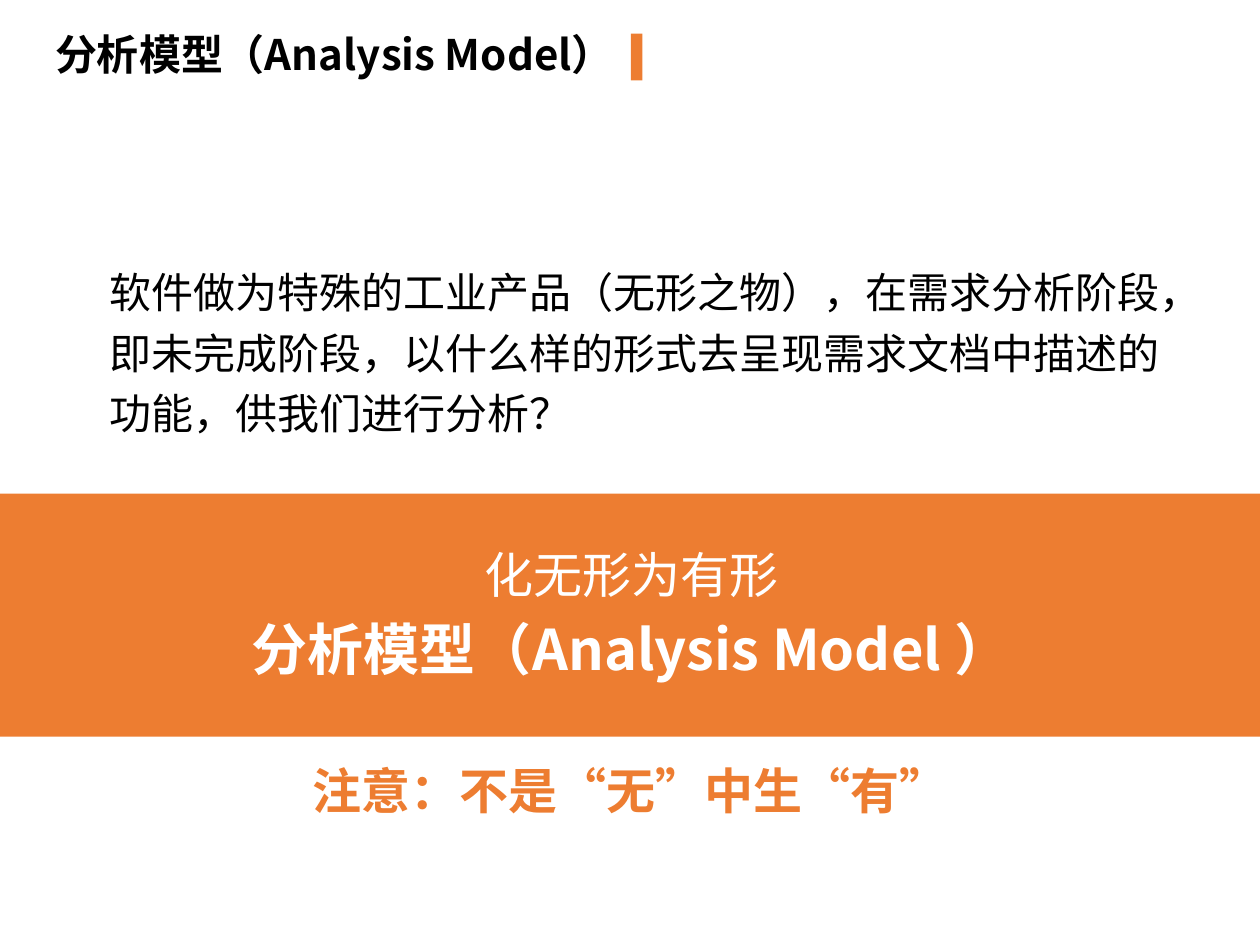
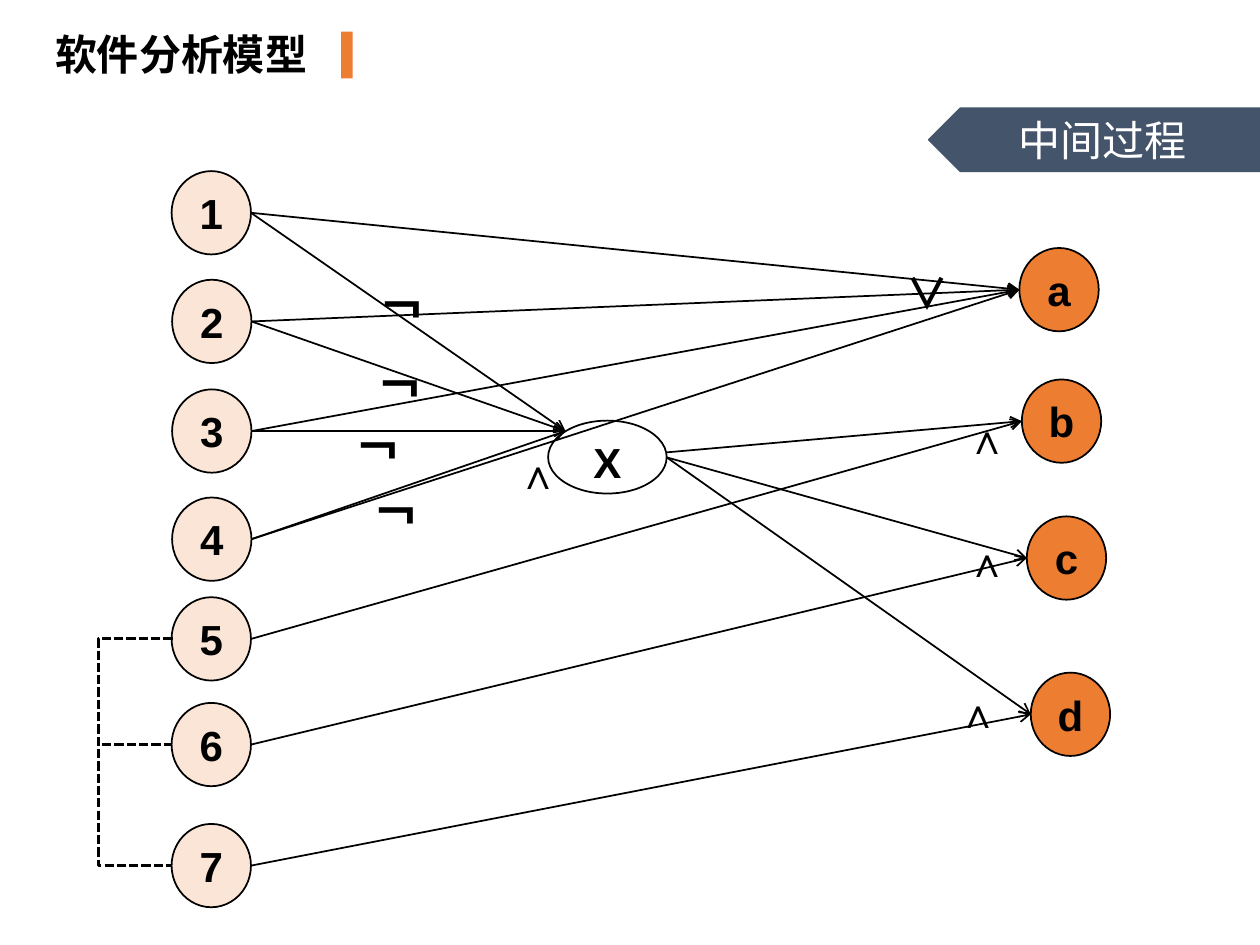
from lxml import etree
from pptx import Presentation
from pptx.dml.color import RGBColor
from pptx.enum.dml import MSO_LINE
from pptx.enum.shapes import MSO_CONNECTOR, MSO_SHAPE
from pptx.enum.text import MSO_ANCHOR, PP_ALIGN
from pptx.oxml.ns import qn
from pptx.util import Cm, Pt

# Shared look
ORANGE = RGBColor(0xED, 0x7D, 0x31)
PEACH = RGBColor(0xFB, 0xE5, 0xD6)
SLATE = RGBColor(0x44, 0x54, 0x6A)
WHITE = RGBColor(0xFF, 0xFF, 0xFF)
BLACK = RGBColor(0, 0, 0)
CJK = "Noto Sans CJK SC"
LATIN = "Arial"

# Cause-effect graph, in cm
NODE_W, NODE_H = 1.6, 1.68
CAUSES = {"1": (3.46, 3.45), "2": (3.47, 5.64), "3": (3.47, 7.85),
          "4": (3.47, 10.03), "5": (3.46, 12.04), "6": (3.46, 14.17),
          "7": (3.46, 16.61)}
EFFECTS = {"a": (20.55, 5.0), "b": (20.6, 7.65),
           "c": (20.7, 10.41), "d": (20.78, 13.56)}
X_BOX = (11.05, 8.48, 2.39, 1.47)
X_ENTRY = (11.4, 8.69)
X_EXITS = {"b": (13.44, 9.12), "c": (13.44, 9.22), "d": (13.44, 9.22)}
CAUSE_EFFECT = ["5b", "1a", "2a", "3a", "4a", "6c", "7d"]
NOT_MARKS = [(7.24, 5.21), (7.19, 6.81), (6.76, 8.05), (7.11, 9.37)]
AND_MARKS = [(10.19, 8.89), (19.23, 8.2), (19.23, 10.67), (19.05, 13.72)]
OR_MARK = (18.03, 5.26)
BRACKET_X = 1.98


def style_runs(p, size, color, bold=False, font=CJK):
    for r in p.runs:
        r.font.size = Pt(size)
        r.font.bold = bold
        r.font.color.rgb = color
        r.font.name = font
        ea = etree.SubElement(r.font._element, qn("a:ea"))
        ea.set("typeface", font)


def add_text(s, box, text, size, color=BLACK, bold=False, font=CJK,
             align=PP_ALIGN.LEFT, wrap=True):
    tf = s.shapes.add_textbox(*map(Cm, box)).text_frame
    tf.word_wrap = wrap
    p = tf.paragraphs[0]
    p.text = text
    p.alignment = align
    style_runs(p, size, color, bold, font)
    return tf


def add_block(s, kind, box, fill, line=None, width=1):
    sp = s.shapes.add_shape(kind, *map(Cm, box))
    sp.shadow.inherit = False
    sp.fill.solid()
    sp.fill.fore_color.rgb = fill
    if line is None:
        sp.line.fill.background()
    else:
        sp.line.color.rgb = line
        sp.line.width = Pt(width)
    return sp


def label_shape(sp, text, size, color, bold=False, font=CJK):
    tf = sp.text_frame
    tf.vertical_anchor = MSO_ANCHOR.MIDDLE
    tf.text = text
    p = tf.paragraphs[0]
    p.alignment = PP_ALIGN.CENTER
    style_runs(p, size, color, bold, font)


def add_node(s, box, label, fill):
    sp = add_block(s, MSO_SHAPE.OVAL, box, fill, BLACK)
    tf = sp.text_frame
    tf.margin_left = tf.margin_right = tf.margin_top = tf.margin_bottom = 0
    label_shape(sp, label, 24, BLACK, True, LATIN)
    return sp


def add_line(s, start, end, kind=MSO_CONNECTOR.STRAIGHT, width=1):
    cxn = s.shapes.add_connector(kind, *map(Cm, (*start, *end)))
    cxn.line.color.rgb = BLACK
    cxn.line.width = Pt(width)
    etree.SubElement(cxn._element.spPr, qn("a:effectLst"))
    return cxn


def add_arrow(s, start, end):
    ln = add_line(s, start, end).line._get_or_add_ln()
    etree.SubElement(ln, qn("a:tailEnd")).set("type", "arrow")


def add_dashed(s, start, end, kind=MSO_CONNECTOR.STRAIGHT):
    cxn = add_line(s, start, end, kind, 1.75)
    ln = cxn.line
    ln.dash_style = MSO_LINE.SQUARE_DOT
    return cxn


def add_title(s, text, width, bar_left, bar_top):
    add_text(s, (0.86, 0.46, width, 1.27), text, 24, bold=True)
    add_block(s, MSO_SHAPE.RECTANGLE, (bar_left, bar_top, 0.23, 0.94), ORANGE)


def mid_left(pos):
    return pos[0], pos[1] + NODE_H / 2


def mid_right(pos):
    return pos[0] + NODE_W, pos[1] + NODE_H / 2


def build_model_slide(s):
    add_block(s, MSO_SHAPE.RECTANGLE, (0, 9.95, 25.4, 4.9), ORANGE)
    add_title(s, "分析模型（Analysis Model）", 13.16, 12.72, 0.68)

    # Question
    tf = add_text(s, (1.96, 5.05, 21.9, 3.78),
                  "软件做为特殊的工业产品（无形之物），在需求分析阶段，"
                  "即未完成阶段，以什么样的形式去呈现需求文档中描述的"
                  "功能，供我们进行分析？", 24)
    tf.paragraphs[0].line_spacing = 1.2

    # Answer on the band
    tf = add_text(s, (4.14, 10.85, 17.17, 3.1), "化无形为有形", 28, WHITE,
                  align=PP_ALIGN.CENTER)
    p = tf.add_paragraph()
    p.text = "分析模型（Analysis Model ）"
    p.alignment = PP_ALIGN.CENTER
    p.space_before = Pt(6.4)
    style_runs(p, 32, WHITE, True)

    # Remark
    add_text(s, (5.97, 15.21, 13.49, 1.45), "注意：不是“无”中生“有”", 28,
             ORANGE, True, align=PP_ALIGN.CENTER, wrap=False)


def build_graph_slide(s):
    add_title(s, "软件分析模型", 6.12, 6.88, 0.64)

    # Nodes
    for nodes, fill in ((CAUSES, PEACH), (EFFECTS, ORANGE)):
        for label, pos in nodes.items():
            add_node(s, (*pos, NODE_W, NODE_H), label, fill)
    x_node = add_node(s, X_BOX, "X", WHITE)
    x_node.text_frame.margin_top = Cm(0.2)

    # Arrows
    for cause in "1234":
        add_arrow(s, mid_right(CAUSES[cause]), X_ENTRY)
    for effect, start in X_EXITS.items():
        add_arrow(s, start, mid_left(EFFECTS[effect]))
    for cause, effect in CAUSE_EFFECT:
        add_arrow(s, mid_right(CAUSES[cause]), mid_left(EFFECTS[effect]))

    # Logic signs
    for pos in NOT_MARKS:
        add_text(s, (*pos, 0.99, 1.45), "﹁", 28, bold=True)
    for pos in AND_MARKS:
        add_text(s, (*pos, 1.19, 1.3), "∧", 24, bold=True, font=LATIN)
    add_text(s, (*OR_MARK, 1.19, 1.27), "∨", 24, bold=True)

    # Dashed bracket joining 5, 6 and 7
    top, middle, bottom = (mid_left(CAUSES[n]) for n in "567")
    start_x, end_x = 3.48, 3.45
    elbow = add_dashed(s, (start_x, top[1]), (end_x, bottom[1]),
                       MSO_CONNECTOR.ELBOW)
    bend = round((start_x - BRACKET_X) / (start_x - end_x) * 100000)
    guides = elbow._element.spPr.find(qn("a:prstGeom")).get_or_add_avLst()
    gd = etree.SubElement(guides, qn("a:gd"))
    gd.set("name", "adj1")
    gd.set("fmla", f"val {bend}")
    add_dashed(s, (2.06, middle[1]), middle)

    # Stage tag
    tag = add_block(s, MSO_SHAPE.PENTAGON, (18.72, 2.18, 6.68, 1.28), SLATE,
                    SLATE, 0.75)
    tag._element.spPr.find(qn("a:xfrm")).set("flipH", "1")
    label_shape(tag, "中间过程", 24, WHITE)


def main():
    prs = Presentation()
    prs.slide_width, prs.slide_height = Cm(25.4), Cm(19.05)
    blank = prs.slide_layouts[6]
    for build in (build_model_slide, build_graph_slide):
        build(prs.slides.add_slide(blank))
    prs.save("out.pptx")


if __name__ == "__main__":
    main()
